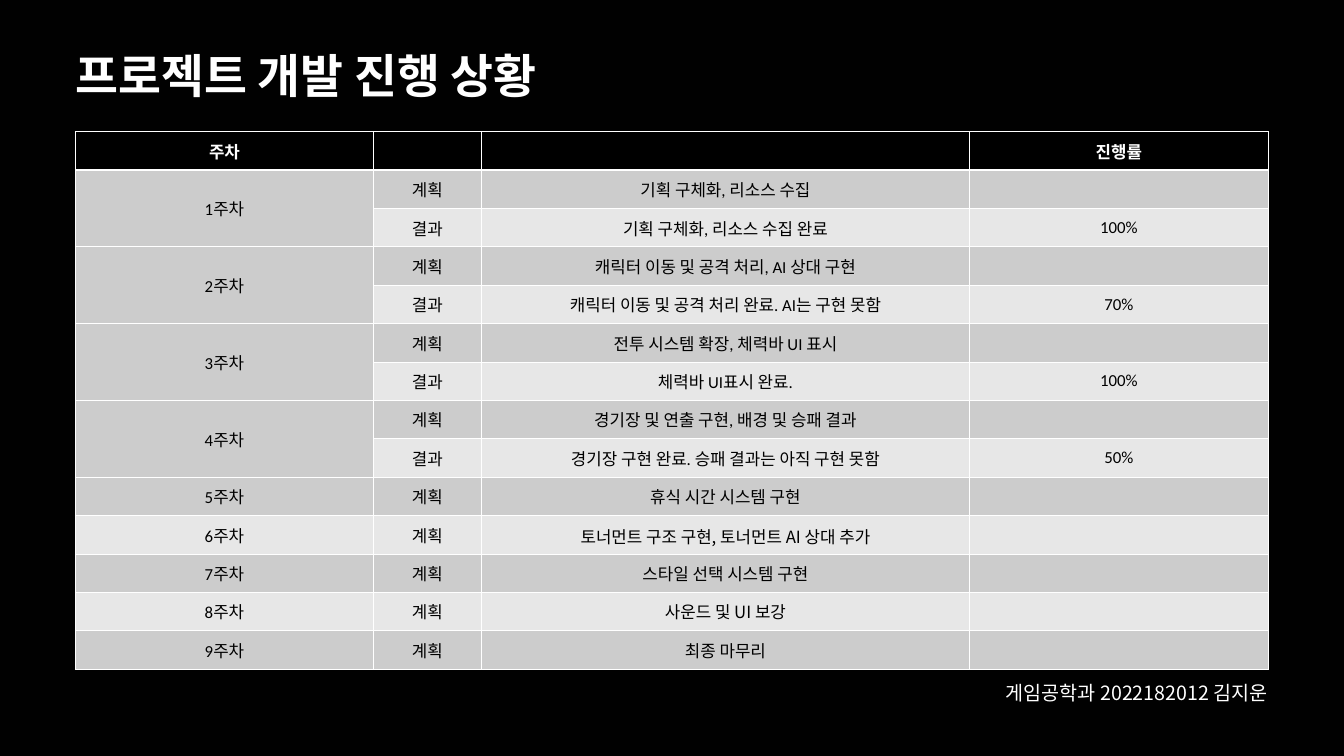
from dataclasses import dataclass
from typing import NamedTuple

from pptx import Presentation
from pptx.dml.color import RGBColor as Rgb
from pptx.enum.text import MSO_ANCHOR as Anchor, MSO_AUTO_SIZE as Fit, PP_ALIGN as Align
from pptx.oxml.ns import qn
from pptx.util import Inches, Pt
from lxml.etree import SubElement as Sub


@dataclass(frozen=True)
class Theme:
    back: str = "010101"
    head: str = "000000"
    dark: str = "CCCCCC"
    light: str = "E7E7E7"
    white: str = "FFFFFF"
    black: str = "000000"
    sans: str = "Noto Sans CJK SC"
    body: str = "Calibri"
    title: float = 50
    cell: float = 18
    foot: float = 21


class Week(NamedTuple):
    plan: str
    result: str = ""
    rate: str = ""
    lead: float = 0


class Label(NamedTuple):
    text: str
    box: tuple[float, float, float, float]
    size: float
    lead: float
    bold: bool = False
    align: Align = Align.LEFT


T = Theme()
COLS = (4.44, 1.6, 7.27, 4.44)
ROW = 8 / 14
HEAD = ("주차", "", "", "진행률")
WEEKS = (
    Week("기획 구체화, 리소스 수집", "기획 구체화, 리소스 수집 완료", "100%"),
    Week("캐릭터 이동 및 공격 처리, AI 상대 구현",
         "캐릭터 이동 및 공격 처리 완료. AI는 구현 못함", "70%"),
    Week("전투 시스템 확장, 체력바 UI 표시", "체력바 UI표시 완료.", "100%"),
    Week("경기장 및 연출 구현, 배경 및 승패 결과",
         "경기장 구현 완료. 승패 결과는 아직 구현 못함", "50%"),
    Week("휴식 시간 시스템 구현"),
    Week("토너먼트 구조 구현, 토너먼트 AI 상대 추가", lead=29.4),
    Week("스타일 선택 시스템 구현"),
    Week("사운드 및 UI 보강"),
    Week("최종 마무리"),
)
LABELS = (
    Label("프로젝트 개발 진행 상황", (1.12, 0.7, 17.75, 0.84), T.title, 60, bold=True),
    Label("게임공학과 2022182012 김지운", (14.96, 10.08, 3.91, 0.39), T.foot, 29.4,
          align=Align.CENTER),
)


def add_run(para, text: str, size: float, color: str, face: str, bold: bool = False) -> None:
    run = para.add_run()
    run.text = text
    font = run.font
    font.size, font.bold, font.name = Pt(size), bold, face
    font.color.rgb = Rgb.from_string(color)
    # Hangul is set in the sans face
    Sub(font._element, qn("a:ea"), typeface=T.sans)


def add_label(slide, label: Label) -> None:
    frame = slide.shapes.add_textbox(*map(Inches, label.box)).text_frame
    frame.word_wrap = True
    frame.auto_size = Fit.SHAPE_TO_FIT_TEXT
    frame.margin_left = frame.margin_right = frame.margin_top = frame.margin_bottom = 0
    para = frame.paragraphs[0]
    para.alignment, para.line_spacing = label.align, Pt(label.lead)
    add_run(para, label.text, label.size, T.white, T.sans, label.bold)


def style_cell(cell, fill: str, base: float = 1) -> None:
    props = cell._tc.get_or_add_tcPr()
    for side, width in (("L", 1), ("R", 1), ("T", 1), ("B", base)):
        line = Sub(props, qn(f"a:ln{side}"), w=str(Pt(width)))
        Sub(Sub(line, qn("a:solidFill")), qn("a:srgbClr"), val=T.white)
    cell.fill.solid()
    cell.fill.fore_color.rgb = Rgb.from_string(fill)
    cell.vertical_anchor = Anchor.MIDDLE


def fill_cell(cell, text: str, color: str = T.black, face: str = T.body,
              bold: bool = False, lead: float = 0) -> None:
    para = cell.text_frame.paragraphs[0]
    para.alignment = Align.CENTER
    if lead:
        para.line_spacing = Pt(lead)
    if text:
        add_run(para, text, T.cell, color, face, bold)


def add_grid(slide) -> None:
    count = 1 + sum(2 if week.result else 1 for week in WEEKS)
    table = slide.shapes.add_table(count, len(COLS), Inches(1.12), Inches(1.96),
                                   Inches(sum(COLS)), Inches(ROW * count)).table
    table.first_row = True
    table.horz_banding = False
    for col, width in zip(table.columns, COLS):
        col.width = Inches(width)

    # Header and banded rows
    for num, row in enumerate(table.rows):
        row.height = Inches(ROW)
        fill = T.dark if num % 2 else T.light
        for cell in row.cells:
            style_cell(cell, fill if num else T.head, 1 if num else 3)
    for col, text in enumerate(HEAD):
        fill_cell(table.cell(0, col), text, T.white, bold=True)

    # One or two rows for each week
    top = 1
    for num, week in enumerate(WEEKS, 1):
        fill_cell(table.cell(top, 0), f"{num}주차")
        fill_cell(table.cell(top, 1), "계획")
        face = T.body if week.result else T.sans
        fill_cell(table.cell(top, 2), week.plan, face=face, lead=week.lead)
        if week.result:
            table.cell(top, 0).merge(table.cell(top + 1, 0))
            top += 1
            for col, text in enumerate(("결과", week.result, week.rate), 1):
                fill_cell(table.cell(top, col), text)
        top += 1


def main() -> None:
    deck = Presentation()
    deck.slide_width, deck.slide_height = Inches(20), Inches(11.25)
    slide = deck.slides.add_slide(deck.slide_layouts[6])
    slide.background.fill.solid()
    slide.background.fill.fore_color.rgb = Rgb.from_string(T.back)
    for label in LABELS:
        add_label(slide, label)
    add_grid(slide)
    deck.save("out.pptx")


if __name__ == "__main__":
    main()
